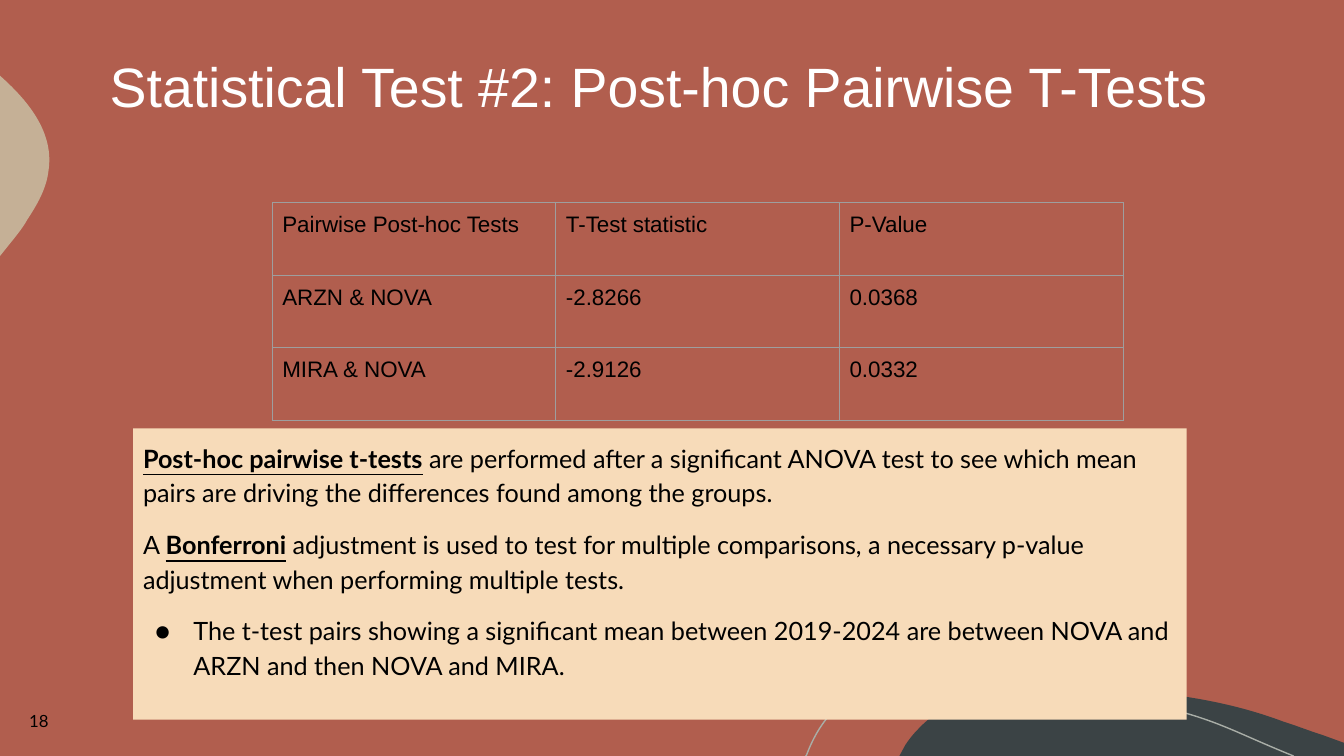
"""Build the slide on post-hoc pairwise t-tests."""
from dataclasses import dataclass

from lxml.etree import SubElement
from pptx import Presentation
from pptx.dml.color import RGBColor
from pptx.enum.shapes import MSO_SHAPE
from pptx.enum.text import MSO_ANCHOR, PP_ALIGN
from pptx.oxml import parse_xml
from pptx.oxml.ns import nsdecls, qn
from pptx.util import Pt

PX = 9144


@dataclass(frozen=True)
class Theme:
    """Colours, fonts and type sizes of the slide."""

    background: str = "B15E4E"
    panel: str = "F7DBB9"
    slate: str = "3B4345"
    sand: str = "C5B096"
    arc: str = "A9AEA7"
    grid: str = "9E9E9E"
    ink: str = "000000"
    white: str = "FFFFFF"
    heading: str = "Arial"
    body: str = "Lato"
    title_size: float = 39.6
    body_size: float = 18
    table_size: float = 16
    number_size: float = 12


THEME = Theme()

SLATE_HILL = [
    (1054, 683),
    (1128, 683, 1204, 690, 1273, 716),
    (1286, 720, 1298, 725, 1311, 729),
    (1333, 737),
    (1333, 750),
    (892, 750),
    (898, 739),
    (902, 733, 906, 728, 911, 723),
    (939, 693, 982, 684, 1023, 683),
    (1033, 683, 1043, 683, 1054, 683),
]
SAND_BLOB = [
    (0, 75),
    (1, 76),
    (30, 102, 54, 133, 48, 170),
    (46, 187, 37, 203, 27, 218),
    (24, 224, 17, 233, 8, 244),
    (0, 254),
]
THIN_ARC = [
    (799, 750),
    (800, 749),
    (806, 733, 814, 719, 824, 708),
    (850, 681, 889, 673, 926, 672),
    (955, 672),
    (1022, 672, 1100, 689, 1155, 702),
    (1209, 715, 1226, 727, 1283, 750),
]

TEST_RESULTS = [
    ["Pairwise Post-hoc Tests", "T-Test statistic", "P-Value"],
    ["ARZN & NOVA", "-2.8266", "0.0368"],
    ["MIRA & NOVA", "-2.9126", "0.0332"],
]

EXPLANATION = [
    [
        ("Post-hoc pairwise t-tests", True),
        (
            " are performed after a significant ANOVA test to see which mean "
            "pairs are driving the differences found among the groups.",
            False,
        ),
    ],
    [
        ("A ", False),
        ("Bonferroni", True),
        (
            " adjustment is used to test for multiple comparisons, a necessary "
            "p-value adjustment when performing multiple tests.",
            False,
        ),
    ],
    [
        (
            "The t-test pairs showing a significant mean between 2019-2024 are "
            "between NOVA and ARZN and then NOVA and MIRA.",
            False,
        ),
    ],
]


def colour(code):
    """Return the colour for a hex code."""
    return RGBColor.from_string(code)


def scaled(*lengths):
    """Turn px lengths into EMU."""
    return [length * PX for length in lengths]


def bend(shape, steps):
    """Turn each straight step that has control points into a cubic curve."""
    lines = list(shape._element.iter(qn("a:lnTo")))
    for line, step in zip(lines, steps):
        if len(step) == 2:
            continue
        line.tag = qn("a:cubicBezTo")
        line.clear()
        for across, down in zip(scaled(*step[::2]), scaled(*step[1::2])):
            point = SubElement(line, qn("a:pt"))
            point.set("x", str(across - shape.left))
            point.set("y", str(down - shape.top))


def add_curve(page, outline, fill=None, line=None):
    """Draw a curved outline, closed when it has a fill."""
    first, *others = [scaled(*step[-2:]) for step in outline]
    builder = page.shapes.build_freeform(*first)
    builder.add_line_segments(others, close=fill is not None)
    shape = builder.convert_to_shape()
    bend(shape, outline[1:])
    shape.shadow.inherit = False
    if fill:
        shape.fill.solid()
        shape.fill.fore_color.rgb = colour(fill)
    else:
        shape.fill.background()
    if line:
        shape.line.color.rgb = colour(line)
        shape.line.width = Pt(1)
    else:
        shape.line.fill.background()


def add_span(para, text, size, font=THEME.body, ink=THEME.ink, strong=False):
    """Add text to a paragraph; strong text is bold and underlined."""
    span = para.add_run()
    span.text = text
    span.font.size = Pt(size)
    span.font.name = font
    span.font.color.rgb = colour(ink)
    span.font.bold = strong
    span.font.underline = strong


def set_frame(frame, anchor, vertical):
    """Set wrapping, anchor and insets of a text frame."""
    frame.word_wrap = True
    frame.vertical_anchor = anchor
    frame.margin_left, frame.margin_right = scaled(10, 10)
    frame.margin_top, frame.margin_bottom = scaled(vertical, vertical)


def add_label(page, place, text, align=PP_ALIGN.LEFT, spacing=1.0, **style):
    """Add a text box with one line centred vertically."""
    box = page.shapes.add_textbox(*scaled(*place))
    set_frame(box.text_frame, MSO_ANCHOR.MIDDLE, 5)
    para = box.text_frame.paragraphs[0]
    para.alignment = align
    para.line_spacing = spacing
    add_span(para, text, **style)


def add_bullet(para):
    """Give a paragraph a hanging round bullet."""
    properties = para._p.get_or_add_pPr()
    indent, hanging = scaled(50, -38)
    properties.set("marL", str(indent))
    properties.set("indent", str(hanging))
    bullet_colour = SubElement(properties, qn("a:buClr"))
    SubElement(bullet_colour, qn("a:srgbClr")).set("val", THEME.ink)
    SubElement(properties, qn("a:buFont")).set("typeface", THEME.body)
    SubElement(properties, qn("a:buChar")).set("char", "●")


def add_panel(page, place, paragraphs):
    """Add the filled panel of explanation, ending in a bullet."""
    panel = page.shapes.add_shape(MSO_SHAPE.RECTANGLE, *scaled(*place))
    panel.shadow.inherit = False
    panel.fill.solid()
    panel.fill.fore_color.rgb = colour(THEME.panel)
    panel.line.fill.background()
    frame = panel.text_frame
    set_frame(frame, MSO_ANCHOR.TOP, 10)
    for index, spans in enumerate(paragraphs):
        para = frame.add_paragraph() if index else frame.paragraphs[0]
        para.alignment = PP_ALIGN.LEFT
        para.line_spacing = 1.15
        para.space_before = Pt(12)
        for text, strong in spans:
            add_span(para, text, THEME.body_size, strong=strong)
    add_bullet(para)


def add_borders(cell):
    """Draw a thin line on every side of a cell."""
    properties = cell._tc.get_or_add_tcPr()
    for index, side in enumerate("LRTB"):
        border = parse_xml(
            f'<a:ln{side} {nsdecls("a")} w="{Pt(0.75)}"><a:solidFill>'
            f'<a:srgbClr val="{THEME.grid}"/></a:solidFill></a:ln{side}>'
        )
        properties.insert(index, border)


def add_results(page, place, rows):
    """Add the unfilled table of test results."""
    table = page.shapes.add_table(len(rows), len(rows[0]), *scaled(*place)).table
    table.first_row = table.horz_banding = False
    for row_index, row in enumerate(rows):
        for column_index, text in enumerate(row):
            cell = table.cell(row_index, column_index)
            cell.fill.background()
            add_borders(cell)
            cell.margin_left, cell.margin_right = scaled(10, 10)
            cell.margin_top, cell.margin_bottom = scaled(10, 10)
            add_span(cell.text_frame.paragraphs[0], text, THEME.table_size, THEME.heading)


def main():
    """Build and save the deck."""
    deck = Presentation()
    deck.slide_width, deck.slide_height = scaled(1333, 750)
    page = deck.slides.add_slide(deck.slide_layouts[6])
    page.background.fill.solid()
    page.background.fill.fore_color.rgb = colour(THEME.background)
    add_curve(page, SLATE_HILL, fill=THEME.slate)
    add_curve(page, SAND_BLOB, fill=THEME.sand)
    add_curve(page, THIN_ARC, line=THEME.arc)
    add_label(page, (99, 51, 1187, 75), "Statistical Test #2: Post-hoc Pairwise T-Tests",
              spacing=0.9, size=THEME.title_size, font=THEME.heading, ink=THEME.white)
    add_panel(page, (132, 425, 1045, 289), EXPLANATION)
    add_results(page, (270, 201, 844, 216), TEST_RESULTS)
    add_label(page, (13, 695, 45, 40), "18", align=PP_ALIGN.RIGHT, size=THEME.number_size)
    deck.save("out.pptx")


if __name__ == "__main__":
    main()
